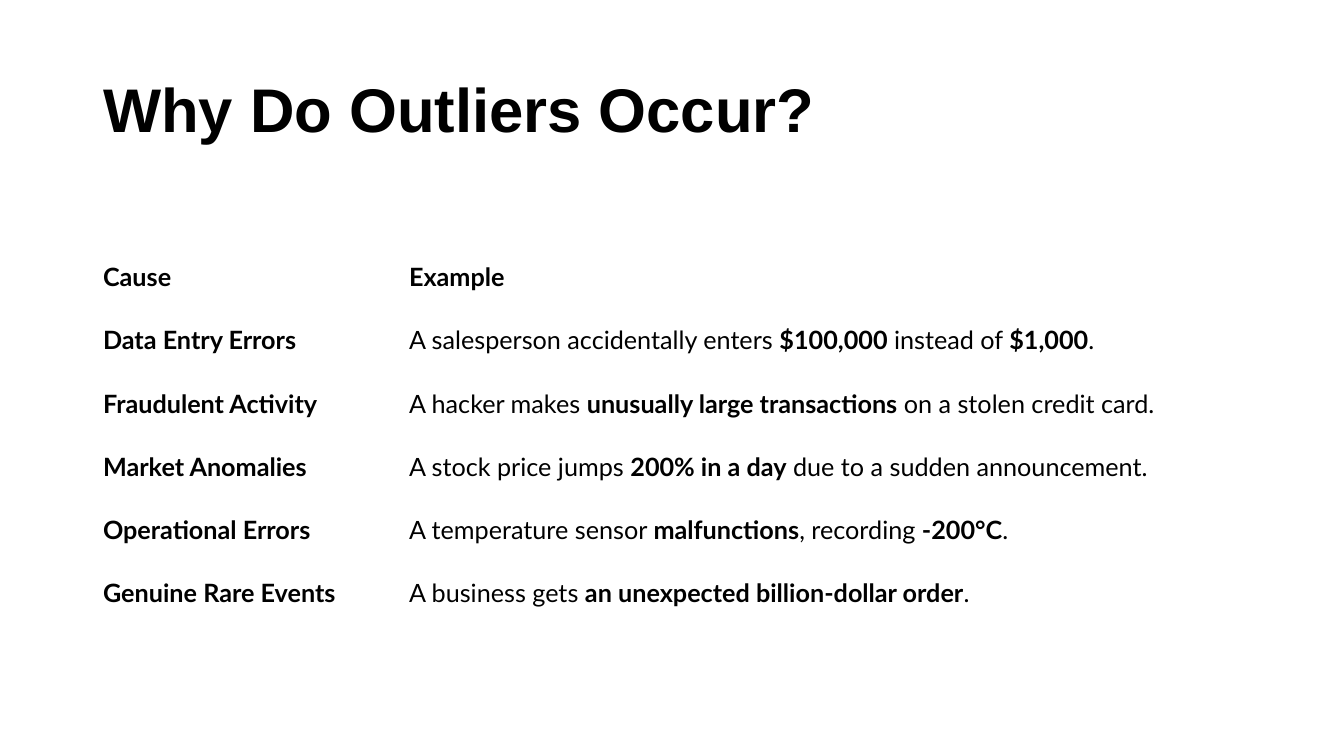
from pptx import Presentation
from pptx.dml.color import RGBColor
from pptx.enum.text import MSO_ANCHOR, PP_ALIGN
from pptx.util import Pt

MIDDLE = MSO_ANCHOR.MIDDLE
LEFT = PP_ALIGN.LEFT

TITLE = "Why Do Outliers Occur?"
# Asterisks enclose the bold parts of a text.
ROWS = [
    ("*Cause*", "*Example*"),
    ("*Data Entry Errors*",
     "A salesperson accidentally enters *$100,000* instead of *$1,000*."),
    ("*Fraudulent Activity*",
     "A hacker makes *unusually large transactions* on a stolen credit card."),
    ("*Market Anomalies*",
     "A stock price jumps *200% in a day* due to a sudden announcement."),
    ("*Operational Errors*",
     "A temperature sensor *malfunctions*, recording *-200°C*."),
    ("*Genuine Rare Events*",
     "A business gets *an unexpected billion-dollar order*."),
]

SLIDE_SIZE = (1344, 756)
TITLE_BOX = (93, 40, 1159, 146)
TABLE_BOX = (93, 245, 1159, 380)
CAUSE_WIDTH = 306
INK = "000000"
TITLE_FONT = {"name": "Arial", "size": Pt(44)}
TABLE_FONT = {"name": "Lato", "size": Pt(18)}


def px(length):
    return round(length * 914400 / 100.8)


def color(hex_string):
    return RGBColor.from_string(hex_string)


def write(paragraph, marked_text, font_format):
    """Add runs to the paragraph, with text between asterisks in bold."""
    paragraph.alignment = LEFT
    for index, part in enumerate(marked_text.split("*")):
        if not part:
            continue
        run = paragraph.add_run()
        run.text = part
        for key, value in {**font_format, "bold": index % 2 == 1}.items():
            setattr(run.font, key, value)
        run.font.color.rgb = color(INK)


def add_title(slide):
    title = slide.shapes.title
    title.left, title.top, title.width, title.height = map(px, TITLE_BOX)
    title.text_frame.vertical_anchor = MIDDLE
    heading = title.text_frame.paragraphs[0]
    heading.line_spacing = 0.9
    write(heading, f"*{TITLE}*", TITLE_FONT)


def add_causes(slide):
    frame = slide.shapes.add_table(len(ROWS), len(ROWS[0]), *map(px, TABLE_BOX))
    causes = frame.table
    causes.first_row = causes.horz_banding = False
    causes.columns[0].width = px(CAUSE_WIDTH)
    causes.columns[1].width = px(TABLE_BOX[2] - CAUSE_WIDTH)
    for row, texts in zip(causes.rows, ROWS):
        row.height = px(TABLE_BOX[3] / len(ROWS))
        for cell, text in zip(row.cells, texts):
            cell.fill.background()
            cell.vertical_anchor = MIDDLE
            write(cell.text_frame.paragraphs[0], text, TABLE_FONT)


def main():
    deck = Presentation()
    deck.slide_width, deck.slide_height = map(px, SLIDE_SIZE)
    slide = deck.slides.add_slide(deck.slide_layouts[5])
    add_title(slide)
    add_causes(slide)
    deck.save("out.pptx")


if __name__ == "__main__":
    main()
